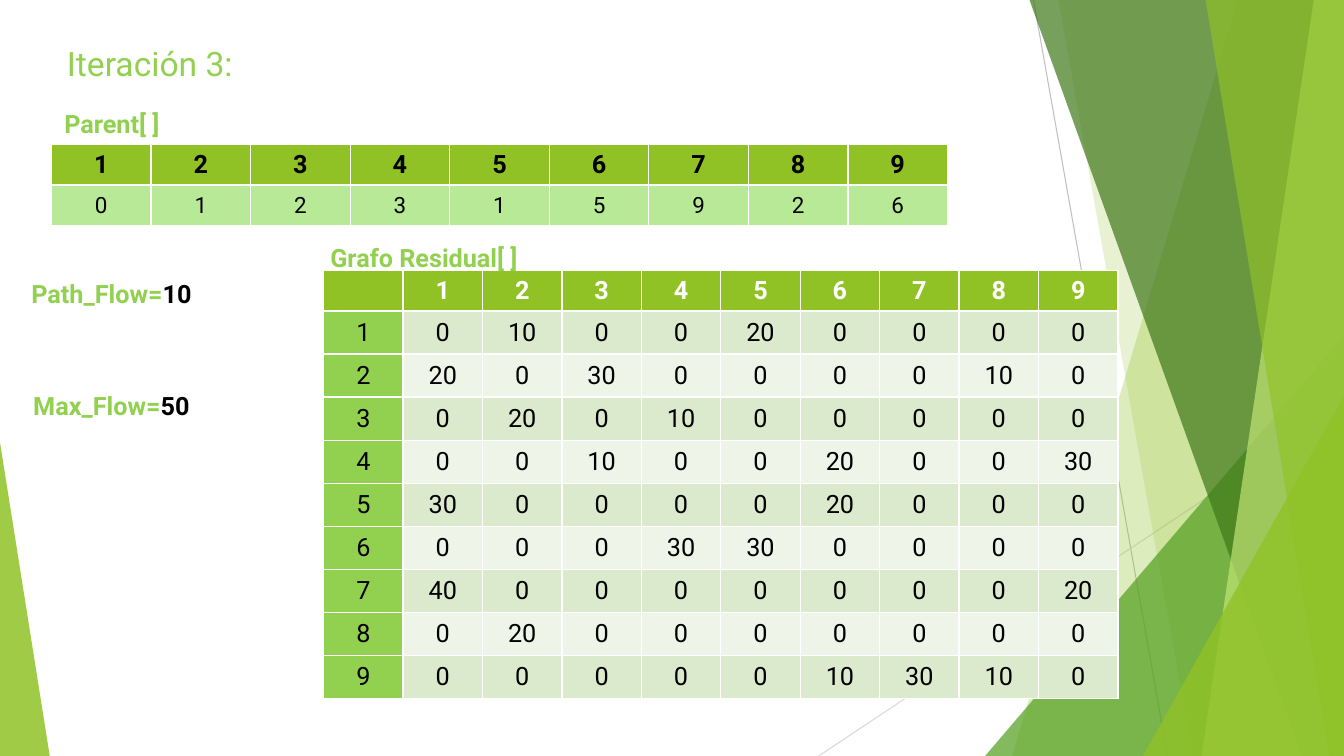
"""Build the third-iteration slide of a maximum-flow walkthrough."""
from dataclasses import dataclass

from lxml import etree
from pptx import Presentation
from pptx.dml.color import RGBColor
from pptx.enum.shapes import MSO_CONNECTOR, MSO_SHAPE
from pptx.enum.text import MSO_ANCHOR, MSO_AUTO_SIZE, PP_ALIGN
from pptx.oxml.ns import qn
from pptx.util import Emu, Inches, Pt

STRAIGHT = MSO_CONNECTOR.STRAIGHT
TRIANGLE = MSO_SHAPE.ISOSCELES_TRIANGLE
MIDDLE, TOP = MSO_ANCHOR.MIDDLE, MSO_ANCHOR.TOP
FIT_SHAPE = MSO_AUTO_SIZE.SHAPE_TO_FIT_TEXT
CENTER = PP_ALIGN.CENTER

FONT = "Roboto"
SLIDE_W, SLIDE_H = Inches(13.33), Inches(7.5)
COLORS = {
    "lime": "90C226", "leaf": "54A021", "forest": "3F7819", "pale": "C0E474",
    "accent": "92D050", "mint": "B7E996", "odd_row": "DBE9CD", "even_row": "EEF4E8",
    "gray": "BFBFBF", "light_gray": "D9D9D9", "black": "000000", "white": "FFFFFF",
}


@dataclass
class Ray:
    """A thin line between two points, in percent of the slide."""
    x1: float
    y1: float
    x2: float
    y2: float
    color: str


@dataclass
class Band:
    """A panel from a slanted left edge to the right side of the slide."""
    top_x: float
    bottom_x: float
    color: str
    opacity: int


@dataclass
class Wedge:
    """A right triangle standing on the bottom of the slide."""
    x: float
    y: float
    width: float
    apex: float
    color: str
    opacity: int


@dataclass
class Label:
    """A heading with an optional value in black."""
    x: float
    y: float
    width: float
    height: float
    text: str
    value: str = ""
    size: int = 18
    bold: bool = True


@dataclass
class Grid:
    """A table whose columns are equal and whose body rows are equal."""
    x: float
    y: float
    column: float
    header_row: float
    body_row: float
    rows: list[list[str]]
    header_color: str
    body_size: int
    body_fills: tuple[str, ...]
    row_headed: bool = False


RAYS = [Ray(76.9, 0, 86.87, 100, "gray"), Ray(100, 53.73, 60.92, 100, "light_gray")]
PANELS = [
    Band(92.1, 75.3, "lime", 30),
    Band(78.75, 88.75, "lime", 20),
    Wedge(73.3, 44.4, 26.7, 1, "leaf", 72),
    Band(76.6, 96.85, "forest", 70),
    Band(97.75, 89.4, "pale", 70),
    Band(89.7, 98.9, "lime", 65),
    Wedge(85.05, 52.4, 14.95, 1, "lime", 80),
    Wedge(0, 58.53, 3.7, 0, "lime", 85),
]
NODES = [str(n) for n in range(1, 10)]
RESIDUAL = """0 10 0 0 20 0 0 0 0
20 0 30 0 0 0 0 10 0
0 20 0 10 0 0 0 0 0
0 0 10 0 0 20 0 0 30
30 0 0 0 0 20 0 0 0
0 0 0 30 30 0 0 0 0
40 0 0 0 0 0 0 0 20
0 20 0 0 0 0 0 0 0
0 0 0 0 0 10 30 10 0"""
RESIDUAL_ROWS = [[n, *line.split()] for n, line in zip(NODES, RESIDUAL.splitlines())]
GRIDS = [
    Grid(3.83, 19.07, 7.41, 5.4, 5.4, [NODES, "0 1 2 3 1 5 9 2 6".split()],
         "black", 16, ("mint",)),
    Grid(24.08, 35.73, 5.91, 5.4, 5.7, [["", *NODES], *RESIDUAL_ROWS],
         "white", 18, ("odd_row", "even_row"), True),
]
TITLE = Label(3.83, 5.07, 14.63, 6.67, "Iteración 3:", size=24, bold=False)
LABELS = [
    Label(3.6, 13.73, 9.45, 5.33, "Parent[ ]"),
    Label(23.33, 31.33, 16.43, 5.33, "Grafo Residual[ ]"),
    Label(1.28, 36.13, 14.03, 5.33, "Path_Flow=", "10"),
    Label(1.5, 50.93, 13.58, 5.33, "Max_Flow=", "50"),
]


def across(percent: float) -> Emu:
    return Emu(round(SLIDE_W * percent / 100))


def down(percent: float) -> Emu:
    return Emu(round(SLIDE_H * percent / 100))


def rgb(name: str) -> RGBColor:
    return RGBColor.from_string(COLORS[name])


def format_run(r, size: int, color: str, bold: bool) -> None:
    r.font.name, r.font.size, r.font.bold = FONT, Pt(size), bold
    r.font.color.rgb = rgb(color)


def draw_ray(shapes, ray: Ray) -> None:
    line = shapes.add_connector(STRAIGHT, across(ray.x1), down(ray.y1),
                                across(ray.x2), down(ray.y2))
    line.line.color.rgb, line.line.width = rgb(ray.color), Pt(0.75)
    etree.SubElement(line.element.spPr, qn("a:effectLst"))


def draw_panel(shapes, panel: Band | Wedge) -> None:
    if isinstance(panel, Band):
        outline = shapes.build_freeform(across(panel.top_x), 0)
        outline.add_line_segments([(SLIDE_W, 0), (SLIDE_W, SLIDE_H),
                                   (across(panel.bottom_x), SLIDE_H)])
        sp = outline.convert_to_shape()
    else:
        sp = shapes.add_shape(TRIANGLE, across(panel.x), down(panel.y),
                              across(panel.width), down(100 - panel.y))
        sp.adjustments[0] = panel.apex
    sp.shadow.inherit = False
    sp.line.fill.background()
    sp.fill.solid()
    sp.fill.fore_color.rgb = rgb(panel.color)
    color = sp.element.spPr.find(f"{qn('a:solidFill')}/{qn('a:srgbClr')}")
    etree.SubElement(color, qn("a:alpha"), val=str(panel.opacity * 1000))


def fill_label(sp, label: Label) -> None:
    sp.left, sp.top = across(label.x), down(label.y)
    sp.width, sp.height = across(label.width), down(label.height)
    tf = sp.text_frame
    tf.text = label.text
    tf.word_wrap, tf.auto_size, tf.vertical_anchor = False, FIT_SHAPE, TOP
    p = tf.paragraphs[0]
    p.alignment = CENTER
    format_run(p.runs[0], label.size, "accent", label.bold)
    if label.value:
        r = p.add_run()
        r.text = label.value
        format_run(r, label.size, "black", label.bold)


def draw_grid(shapes, grid: Grid) -> None:
    n_rows, n_cols = len(grid.rows), len(grid.rows[0])
    height = grid.header_row + grid.body_row * (n_rows - 1)
    table = shapes.add_table(n_rows, n_cols, across(grid.x), down(grid.y),
                             across(grid.column * n_cols), down(height)).table
    for i, row in enumerate(grid.rows):
        header = i == 0
        table.rows[i].height = down(grid.header_row if header else grid.body_row)
        for j, text in enumerate(row):
            if header:
                fill = "lime"
            elif grid.row_headed and j == 0:
                fill = "accent"
            else:
                fill = grid.body_fills[(i - 1) % len(grid.body_fills)]
            cell = table.cell(i, j)
            cell.fill.solid()
            cell.fill.fore_color.rgb = rgb(fill)
            cell.vertical_anchor = MIDDLE
            cell.text_frame.text = text
            p = cell.text_frame.paragraphs[0]
            p.alignment = CENTER
            for r in p.runs:
                format_run(r, 18 if header else grid.body_size,
                           grid.header_color if header else "black", header)


def main() -> None:
    prs = Presentation()
    prs.slide_width, prs.slide_height = SLIDE_W, SLIDE_H
    shapes = prs.slides.add_slide(prs.slide_layouts[5]).shapes
    for ray in RAYS:
        draw_ray(shapes, ray)
    for panel in PANELS:
        draw_panel(shapes, panel)
    for grid in GRIDS:
        draw_grid(shapes, grid)
    fill_label(shapes.title, TITLE)
    for label in LABELS:
        fill_label(shapes.add_textbox(0, 0, 0, 0), label)
    prs.save("out.pptx")


if __name__ == "__main__":
    main()
